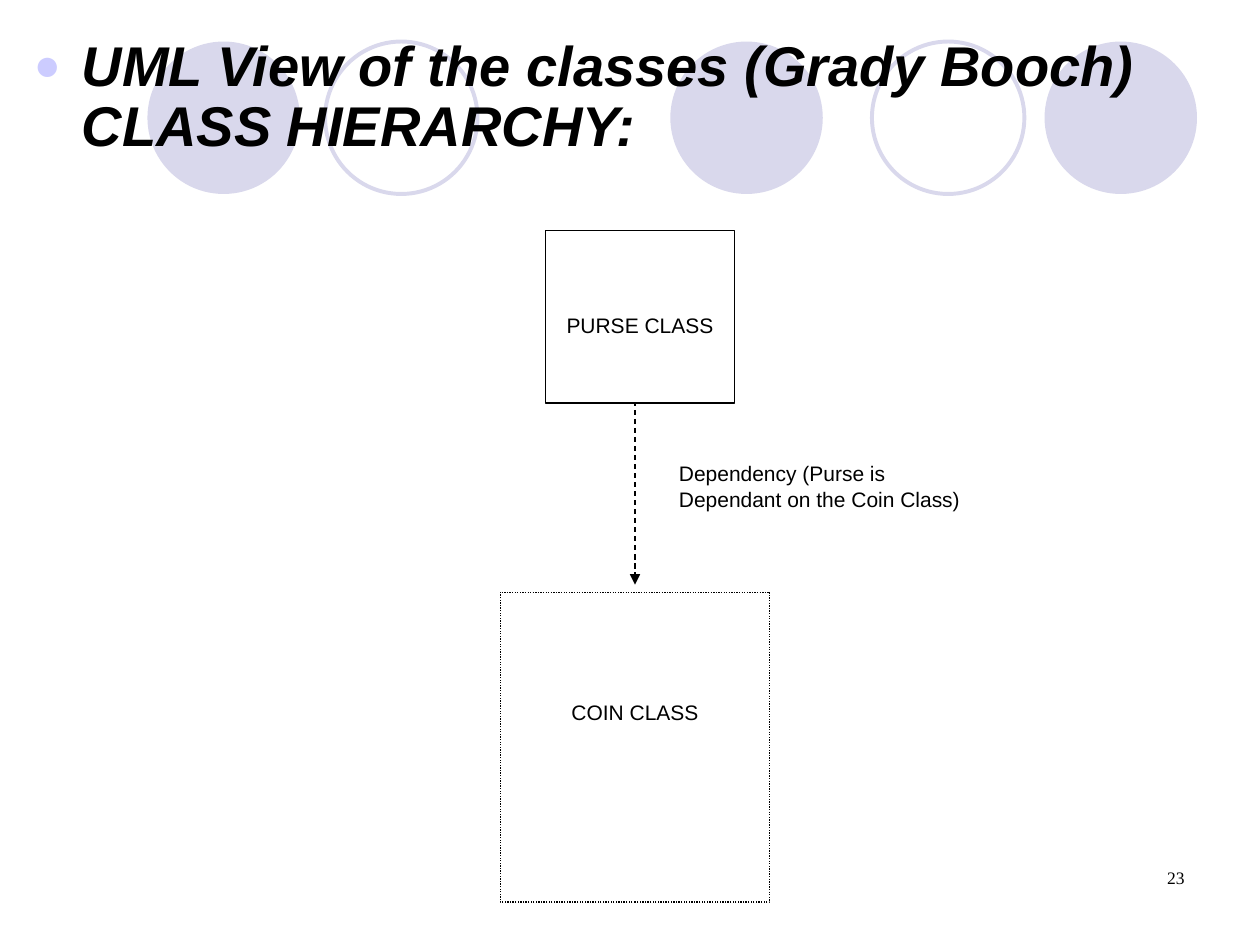
import pptx
import pptx.dml.color
import pptx.enum.dml
import pptx.enum.shapes
import pptx.enum.text
import pptx.oxml
import pptx.oxml.ns
import pptx.util
from pptx.util import Inches

LILAC = "D9D8EC"
DASH = pptx.enum.dml.MSO_LINE
SHAPE = pptx.enum.shapes.MSO_SHAPE
ALIGN = pptx.enum.text.PP_ALIGN


def rgb(value):
    """Turn a hex string into a colour."""
    return pptx.dml.color.RGBColor.from_string(value)


def add_xml(parent, tag, **attrs):
    """Append a drawing element with the given attributes."""
    el = pptx.oxml.parse_xml(f"<a:{tag} {pptx.oxml.ns.nsdecls('a')}/>")
    for name, value in attrs.items():
        el.set(name, str(value))
    parent.append(el)
    return el


def set_line(line, color, width, dash=None):
    """Give an outline its colour, width and dash."""
    line.color.rgb = rgb(color)
    line.width = pptx.util.Pt(width)
    if dash is not None:
        line.dash_style = dash


def write(sp, text, size=12, align=ALIGN.LEFT, top=0.05, **font):
    """Write one paragraph from the top of a shape and return it."""
    tf = sp.text_frame
    frame = {"word_wrap": True, "margin_top": Inches(top), "margin_bottom": Inches(0.05),
             "margin_left": Inches(0.1), "margin_right": Inches(0.1),
             "vertical_anchor": pptx.enum.text.MSO_ANCHOR.TOP}
    for name, value in frame.items():
        setattr(tf, name, value)
    p = tf.paragraphs[0]
    p.alignment = align
    r = p.add_run()
    r.text = text
    for name, value in {"name": "Arial", "size": pptx.util.Pt(size), **font}.items():
        setattr(r.font, name, value)
    r.font.color.rgb = rgb("000000")
    return p


def add_circles(s, x, y, size):
    """Draw the row of filled and outlined circles."""
    circles = [(4.15, True), (7.12, True), (0, True), (5.75, False), (1.41, False)]
    for dx, filled in circles:
        sp = s.shapes.add_shape(SHAPE.OVAL, Inches(x + dx), Inches(y), Inches(size), Inches(size))
        sp.shadow.inherit = False
        if filled:
            sp.fill.solid()
            sp.fill.fore_color.rgb = rgb(LILAC)
            sp.line.fill.background()
        else:
            sp.fill.background()
            set_line(sp.line, LILAC, 2.25)


def add_title(s, x, y, w, h):
    """Place the bulleted heading."""
    sp = s.shapes.add_textbox(Inches(x), Inches(y), Inches(w), Inches(h))
    p = write(sp, "UML View of the classes (Grady Booch) CLASS HIERARCHY:",
              32, bold=True, italic=True)
    p.line_spacing = 0.9
    pPr = p._p.get_or_add_pPr()
    pPr.set("marL", str(Inches(0.38)))
    pPr.set("indent", str(Inches(-0.38)))
    add_xml(add_xml(pPr, "buClr"), "srgbClr", val="CCCCFF")
    add_xml(pPr, "buSzPct", val=80000)
    add_xml(pPr, "buFont", typeface="Arial")
    add_xml(pPr, "buChar", char="●")


def add_class(s, name, x, y, w, h, text_top, dash=None):
    """Draw one class box with its name."""
    sp = s.shapes.add_shape(SHAPE.RECTANGLE, Inches(x), Inches(y), Inches(w), Inches(h))
    sp.shadow.inherit = False
    sp.fill.solid()
    sp.fill.fore_color.rgb = rgb("FFFFFF")
    set_line(sp.line, "000000", 0.75, dash)
    write(sp, name, align=ALIGN.CENTER, top=text_top)


def add_dependency(s, x, y, h):
    """Draw the dashed arrow and the label to its right."""
    line = s.shapes.add_connector(pptx.enum.shapes.MSO_CONNECTOR.STRAIGHT,
                                  Inches(x), Inches(y), Inches(x), Inches(y + h))
    set_line(line.line, "000000", 0.75, DASH.DASH)
    add_xml(line.line._get_or_add_ln(), "tailEnd", type="triangle")
    add_xml(line._element.spPr, "effectLst")
    sp = s.shapes.add_textbox(Inches(x + 0.25), Inches(y + 0.5), Inches(2.64), Inches(0.87))
    write(sp, "Dependency (Purse is Dependant on the Coin Class)")


def add_diagram(s, x, y):
    """Place both classes and the dependency between them."""
    add_class(s, "COIN CLASS", x, y + 2.87, 2.14, 2.46, 0.85, DASH.ROUND_DOT)
    add_dependency(s, x + 1.07, y + 1.28, 1.53)
    add_class(s, "PURSE CLASS", x + 0.36, y, 1.5, 1.37, 0.65)


def add_number(s, x, y, w, h):
    """Place the slide number."""
    sp = s.shapes.add_textbox(Inches(x), Inches(y), Inches(w), Inches(h))
    write(sp, "23", 10, ALIGN.RIGHT, name="Times New Roman")


def main():
    """Build and save the slide."""
    prs = pptx.Presentation()
    prs.slide_width, prs.slide_height = Inches(10), Inches(7.5)
    s = prs.slides.add_slide(prs.slide_layouts[6])
    add_circles(s, 1.17, 0.33, 1.21)
    add_title(s, 0.17, 0.25, 9.58, 1.08)
    add_diagram(s, 3.97, 1.83)
    add_number(s, 7.17, 6.83, 2.33, 0.5)
    prs.save("out.pptx")


if __name__ == "__main__":
    main()
